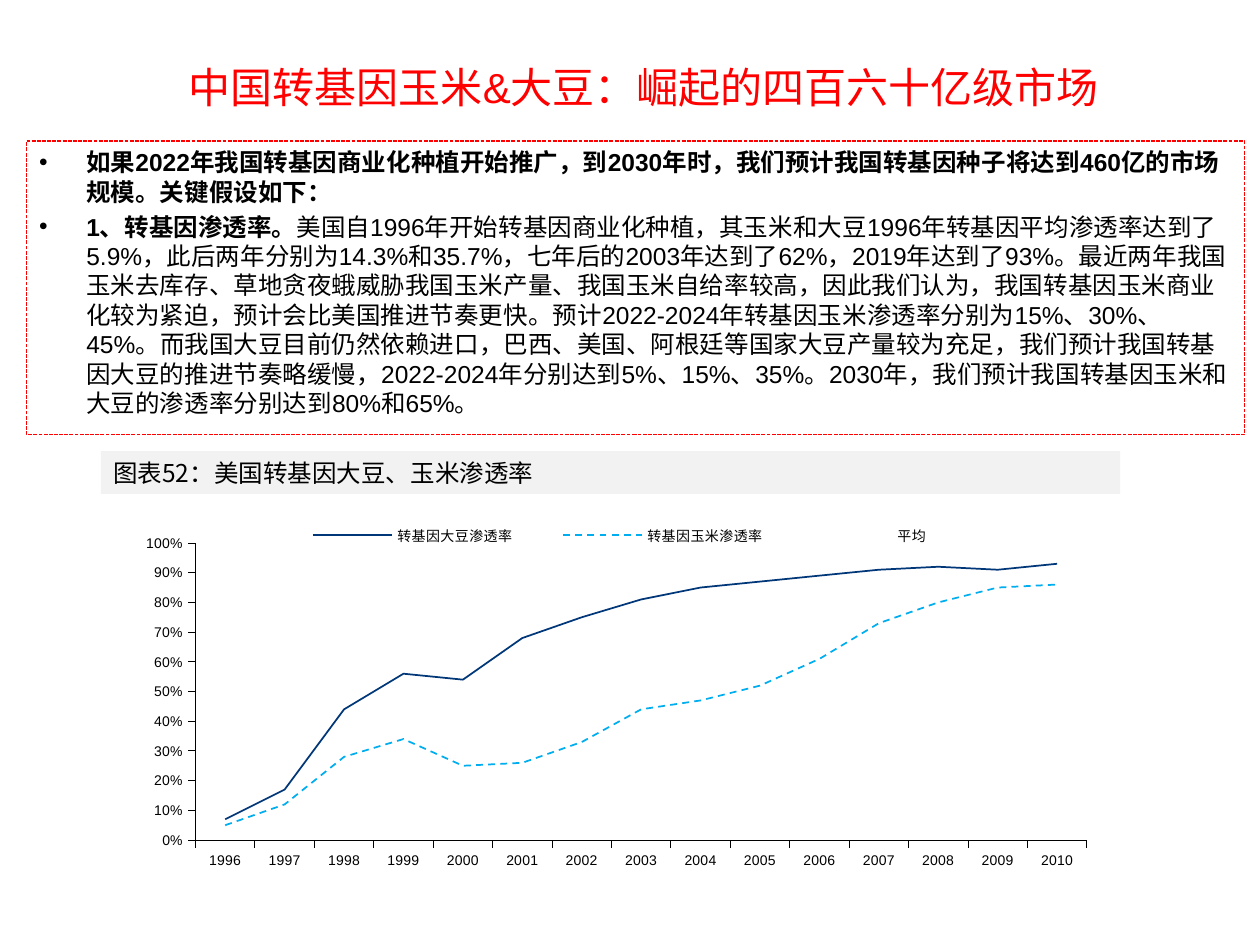
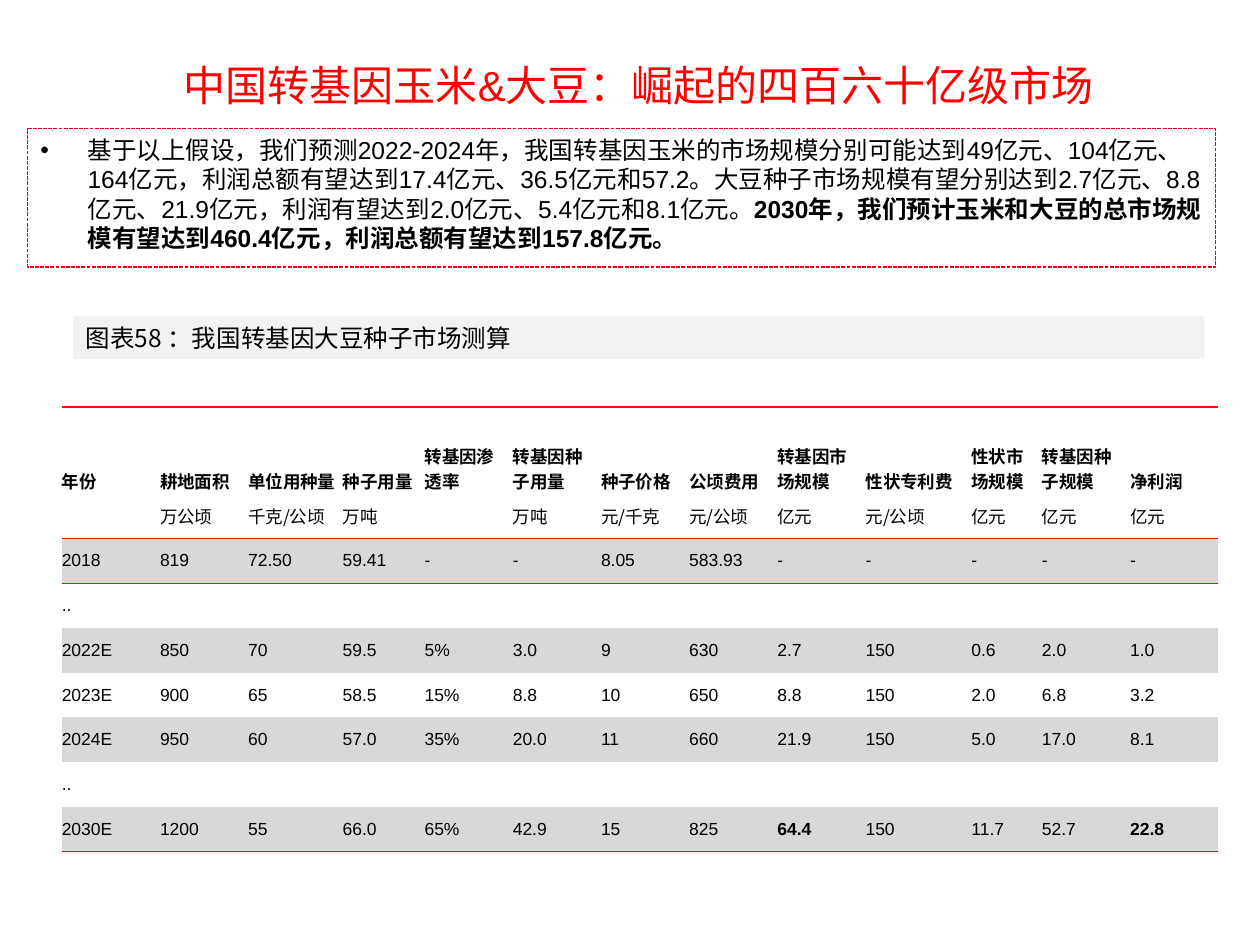
from typing import NamedTuple

from lxml import etree
from pptx import Presentation
from pptx.chart.data import CategoryChartData
from pptx.dml.color import RGBColor
from pptx.enum import chart as ch, dml, shapes, text
from pptx.oxml import ns
from pptx.util import Inches, Pt

RED = RGBColor(0xFF, 0x00, 0x00)
ROSE = RGBColor(0xE6, 0x00, 0x1F)
RULE = RGBColor(0xE6, 0x18, 0x00)
BLACK = RGBColor(0x00, 0x00, 0x00)
WHITE = RGBColor(0xFF, 0xFF, 0xFF)
BAND = RGBColor(0xF2, 0xF2, 0xF2)
GREY = RGBColor(0xD8, 0xD8, 0xD8)
NAVY = RGBColor(0x00, 0x37, 0x78)
SKY = RGBColor(0x00, 0xAE, 0xEF)
LATIN, HAN = "Arial", "Noto Sans CJK SC"
TITLE = "中国转基因玉米&大豆：崛起的四百六十亿级市场"
PLAIN = "{2D5ABB26-0587-4C30-8999-92F81FD0307C}"  # table style without grid


class Box(NamedTuple):
    left: float
    top: float
    width: float
    height: float

    def emu(self) -> list:
        return [Inches(v) for v in self]


class Span(NamedTuple):
    words: str
    bold: bool = False


class Page(NamedTuple):
    title: Box
    body: Box
    edge: RGBColor
    paras: list
    band: Box
    label: str


class Line(NamedTuple):
    name: str
    color: RGBColor
    dash: bool
    vals: list


PAGES = [
    Page(Box(0.8, 0.39, 8.62, 0.6), Box(0.21, 1.12, 9.67, 2.33), RED, [
        [Span("如果2022年我国转基因商业化种植开始推广，到2030年时，我们预计我国转基因种子将达到"
              "460亿的市场规模。关键假设如下：", True)],
        [Span("1、转基因渗透率。", True),
         Span("美国自1996年开始转基因商业化种植，其玉米和大豆1996年转基因平均渗透率达到了5.9%，"
              "此后两年分别为14.3%和35.7%，七年后的2003年达到了62%，2019年达到了93%。"
              "最近两年我国玉米去库存、草地贪夜蛾威胁我国玉米产量、我国玉米自给率较高，因此我们认为，"
              "我国转基因玉米商业化较为紧迫，预计会比美国推进节奏更快。"
              "预计2022-2024年转基因玉米渗透率分别为15%、30%、45%。"
              "而我国大豆目前仍然依赖进口，巴西、美国、阿根廷等国家大豆产量较为充足，"
              "我们预计我国转基因大豆的推进节奏略缓慢，2022-2024年分别达到5%、15%、35%。"
              "2030年，我们预计我国转基因玉米和大豆的渗透率分别达到80%和65%。")],
    ], Box(0.8, 3.58, 8.09, 0.34), "图表52：美国转基因大豆、玉米渗透率"),
    Page(Box(0.76, 0.37, 8.62, 0.6), Box(0.22, 1.02, 9.43, 1.1), ROSE, [
        [Span("基于以上假设，我们预测2022-2024年，我国转基因玉米的市场规模分别可能达到49亿元、"
              "104亿元、164亿元，利润总额有望达到17.4亿元、36.5亿元和57.2。"
              "大豆种子市场规模有望分别达到2.7亿元、8.8亿元、21.9亿元，"
              "利润有望达到2.0亿元、5.4亿元和8.1亿元。"),
         Span("2030年，我们预计玉米和大豆的总市场规模有望达到460.4亿元，"
              "利润总额有望达到157.8亿元。", True)],
    ], Box(0.58, 2.51, 8.98, 0.34), "图表58 ：我国转基因大豆种子市场测算"),
]

YEARS = [str(y) for y in range(1996, 2011)]
LINES = [
    Line("转基因大豆渗透率", NAVY, False,
         [0.07, 0.17, 0.44, 0.56, 0.54, 0.68, 0.75, 0.81, 0.85, 0.87, 0.89, 0.91, 0.92, 0.91, 0.93]),
    Line("转基因玉米渗透率", SKY, True,
         [0.05, 0.12, 0.28, 0.34, 0.25, 0.26, 0.33, 0.44, 0.47, 0.52, 0.61, 0.73, 0.8, 0.85, 0.86]),
    Line("平均", WHITE, False,
         [0.06, 0.14, 0.36, 0.45, 0.39, 0.47, 0.53, 0.62, 0.65, 0.68, 0.75, 0.8, 0.86, 0.88, 0.89]),
]

COLS = [0.78, 0.7, 0.75, 0.65, 0.7, 0.7, 0.7, 0.7, 0.7, 0.84, 0.56, 0.7, 0.7]
HEAD = 0.69
GAP = [".."] + [""] * 12
ROWS = [
    ["年份", "耕地面积", "单位用种量", "种子用量", "转基因渗透率", "转基因种子用量", "种子价格",
     "公顷费用", "转基因市场规模", "性状专利费", "性状市场规模", "转基因种子规模", "净利润"],
    ["", "万公顷", "千克/公顷", "万吨", "", "万吨", "元/千克", "元/公顷", "亿元", "元/公顷",
     "亿元", "亿元", "亿元"],
    "2018 819 72.50 59.41 - - 8.05 583.93 - - - - -".split(),
    GAP,
    "2022E 850 70 59.5 5% 3.0 9 630 2.7 150 0.6 2.0 1.0".split(),
    "2023E 900 65 58.5 15% 8.8 10 650 8.8 150 2.0 6.8 3.2".split(),
    "2024E 950 60 57.0 35% 20.0 11 660 21.9 150 5.0 17.0 8.1".split(),
    GAP,
    "2030E 1200 55 66.0 65% 42.9 15 825 64.4 150 11.7 52.7 22.8".split(),
]
KEY = {"64.4", "22.8"}


def style(run, size: float, color: RGBColor = BLACK, bold: bool = False, face: str = LATIN) -> None:
    font = run.font
    font.size, font.bold, font.name = Pt(size), bold, face
    font.color.rgb = color
    east = etree.SubElement(run._r.get_or_add_rPr(), ns.qn("a:ea"))
    east.set("typeface", HAN)


def place(shape, box: Box) -> None:
    shape.left, shape.top, shape.width, shape.height = box.emu()


def frame(deck, page: Page):
    """Title, bordered body and caption band of one slide."""
    slide = deck.slides.add_slide(deck.slide_layouts[1])
    head, body = slide.placeholders
    # Title
    place(head, page.title)
    head.text_frame.text = TITLE
    head.text_frame.auto_size = text.MSO_AUTO_SIZE.NONE
    para = head.text_frame.paragraphs[0]
    para.alignment = text.PP_ALIGN.CENTER
    style(para.runs[0], 24, RED)
    # Body
    place(body, page.body)
    body.line.color.rgb = page.edge
    body.line.width = Pt(0.75)
    body.line.dash_style = dml.MSO_LINE.SQUARE_DOT
    body.text_frame.auto_size = text.MSO_AUTO_SIZE.NONE
    for i, spans in enumerate(page.paras):
        para = body.text_frame.add_paragraph() if i else body.text_frame.paragraphs[0]
        para.space_before = Pt(3 if i else 0)
        para.line_spacing = Pt(16.8)
        for span in spans:
            run = para.add_run()
            run.text = span.words
            style(run, 14, bold=span.bold)
    # Caption band
    band = slide.shapes.add_shape(shapes.MSO_SHAPE.RECTANGLE, *page.band.emu())
    band.shadow.inherit = False
    band.fill.solid()
    band.fill.fore_color.rgb = BAND
    band.line.fill.background()
    cap = band.text_frame
    cap.text = page.label
    cap.margin_top = cap.margin_bottom = Inches(0.02)
    cap.vertical_anchor = text.MSO_ANCHOR.MIDDLE
    cap.paragraphs[0].alignment = text.PP_ALIGN.LEFT
    style(cap.paragraphs[0].runs[0], 14, face=HAN)
    return slide


def layout(node, at: int, box: Box, inner: bool = False) -> None:
    """Fix the place of a chart part, in fractions of the chart."""
    for old in node.findall(ns.qn("c:layout")):
        node.remove(old)
    outer = etree.Element(ns.qn("c:layout"))
    man = etree.SubElement(outer, ns.qn("c:manualLayout"))
    parts = [("layoutTarget", "inner")] if inner else []
    parts += [("xMode", "edge"), ("yMode", "edge"), *zip("xywh", map(str, box))]
    for tag, val in parts:
        etree.SubElement(man, ns.qn("c:" + tag)).set("val", val)
    node.insert(at, outer)


def tint(font, size: float) -> None:
    font.size, font.name = Pt(size), LATIN
    font.color.rgb = BLACK


def plot(slide, box: Box) -> None:
    data = CategoryChartData(number_format="0%")
    data.categories = YEARS
    for line in LINES:
        data.add_series(line.name, line.vals)
    chart = slide.shapes.add_chart(ch.XL_CHART_TYPE.LINE, *box.emu(), data).chart
    tint(chart.font, 10)
    chart.has_title = False
    # Series
    chart.plots[0].vary_by_categories = False
    for item, line in zip(chart.plots[0].series, LINES):
        item.smooth = False
        item.marker.style = ch.XL_MARKER_STYLE.NONE
        item.format.line.color.rgb = line.color
        item.format.line.width = Pt(1)
        if line.dash:
            item.format.line.dash_style = dml.MSO_LINE.DASH
    # Axes
    for axis in (chart.category_axis, chart.value_axis):
        axis.has_major_gridlines = False
        axis.major_tick_mark = ch.XL_TICK_MARK.OUTSIDE
        axis.minor_tick_mark = ch.XL_TICK_MARK.NONE
        axis.format.line.color.rgb = BLACK
        axis.format.line.width = Pt(0.5)
        tint(axis.tick_labels.font, 8)
    scale = chart.value_axis
    scale.minimum_scale, scale.maximum_scale, scale.major_unit = 0, 1, 0.1
    scale.tick_labels.number_format = "0%"
    scale.tick_labels.number_format_is_linked = False
    # Legend and plot area
    chart.has_legend = True
    key = chart.legend
    key.position = ch.XL_LEGEND_POSITION.TOP
    key.include_in_layout = False
    tint(key.font, 8)
    layout(key._element, 1, Box(0.14, 0.03, 0.74, 0.07))
    area = chart._chartSpace.find(".//" + ns.qn("c:plotArea"))
    layout(area, 0, Box(0.065, 0.086, 0.935, 0.781), True)


def border(cell, side: str) -> None:
    line = etree.SubElement(cell._tc.get_or_add_tcPr(), ns.qn("a:ln" + side), w=str(Pt(1)))
    fill = etree.SubElement(line, ns.qn("a:solidFill"))
    etree.SubElement(fill, ns.qn("a:srgbClr"), val=str(RULE))


def grid(slide, box: Box) -> None:
    table = slide.shapes.add_table(len(ROWS), len(COLS), *box.emu()).table
    table.first_row = table.horz_banding = False
    table._tbl.tblPr.find(ns.qn("a:tableStyleId")).text = PLAIN
    for col, width in zip(table.columns, COLS):
        col.width = Inches(width)
    step = (box.height - HEAD) / (len(ROWS) - 1)
    for r, row in enumerate(ROWS):
        table.rows[r].height = Inches(step if r else HEAD)
        for c, words in enumerate(row):
            cell = table.cell(r, c)
            cell.margin_left = cell.margin_top = cell.margin_bottom = 0
            cell.margin_right = Inches(0.01)
            cell.vertical_anchor = text.MSO_ANCHOR.MIDDLE if r else text.MSO_ANCHOR.BOTTOM
            # Rules above and below the head, and under the last row
            if r in (0, 2):
                border(cell, "T")
            if r in (1, len(ROWS) - 1):
                border(cell, "B")
            if r > 1 and r % 2 == 0:
                cell.fill.solid()
                cell.fill.fore_color.rgb = GREY
            else:
                cell.fill.background()
            para = cell.text_frame.paragraphs[0]
            para.font.size = Pt(10)
            para.text = words
            for run in para.runs:
                style(run, 10, bold=r == 0 or words in KEY, face=LATIN if r > 1 else HAN)


def main() -> None:
    deck = Presentation()
    deck.slide_width, deck.slide_height = Inches(10), Inches(7.5)
    first, second = [frame(deck, page) for page in PAGES]
    plot(first, Box(1.06, 4.05, 7.57, 3.02))
    grid(second, Box(0.49, 3.23, 9.16, 3.53))
    deck.save("out.pptx")


if __name__ == "__main__":
    main()
